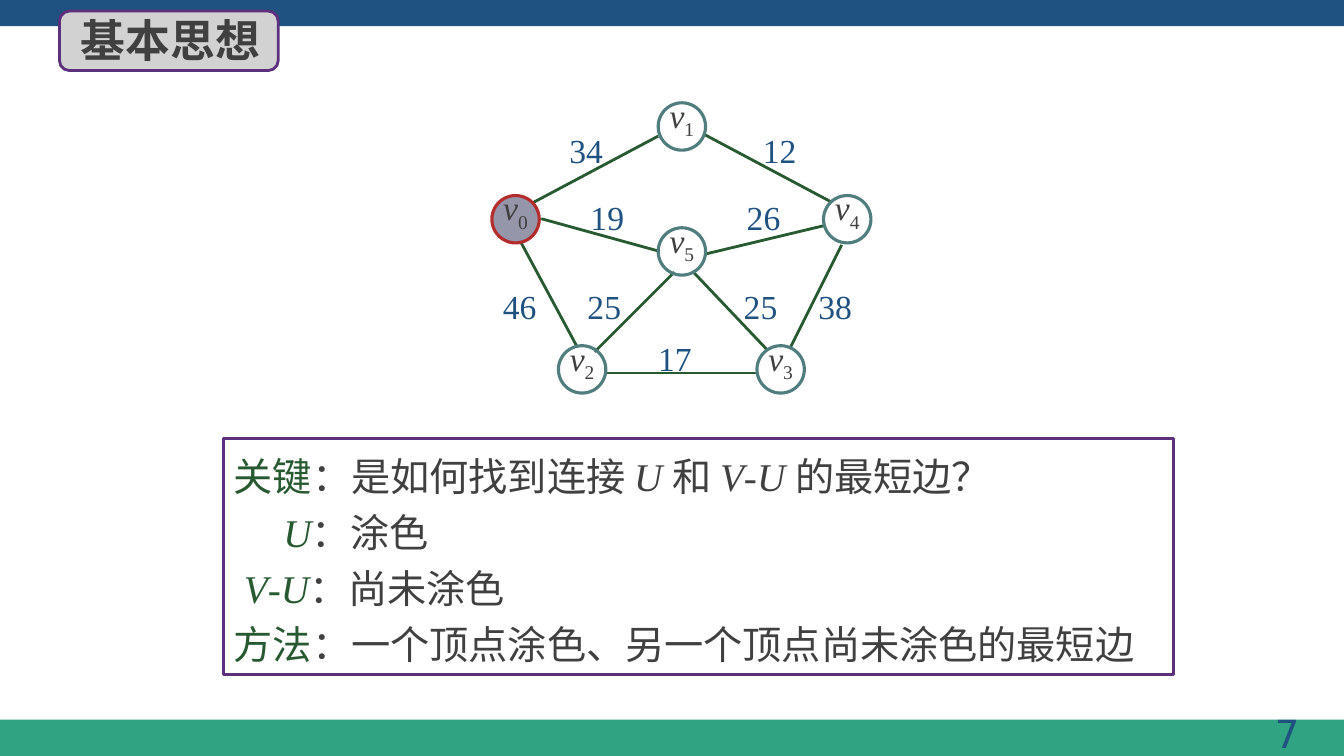
from lxml import etree
from pptx import Presentation, util as u
from pptx.dml.color import RGBColor
from pptx.enum import lang, shapes, text
from pptx.oxml.ns import qn

COLORS = dict(navy="1F5281", teal="30A383", ink="404040", green="285A32", purple="5C307D",
              badge="D2D2D2", ring="507D7D", start="9696AA", start_ring="B42D2D")
SERIF, SANS, HAN = "Times New Roman", "DejaVu Sans", "Noto Sans CJK SC"
COLUMNS, ROWS = 133.33, 75
CELL = u.Inches(0.1)
VERTEX_SIZE = 4.7
LABEL_SIZE = (6.6, 5)

VERTICES = [(0, 9.2), (16.5, 0), (6.6, 24.1), (26.3, 24.1), (32.9, 9.2), (16.5, 12.4)]
EDGES = [
    ("34", (16.5, 3.3), (3.9, 10), (6.7, 1.9)),
    ("12", (33.6, 9.8), (21, 3.1), (25.9, 1.9)),
    ("19", (16.5, 14.7), (4.9, 11.5), (8.8, 8.5)),
    ("26", (32.9, 12.2), (21.2, 15), (24.3, 8.5)),
    ("25", (18.1, 16.8), (10.2, 24.7), (8.5, 17.4)),
    ("25", (27.3, 24.5), (19.9, 16.7), (24, 17.4)),
    ("46", (8.4, 24.1), (2.8, 13.7), (0.1, 17.4)),
    ("38", (34.7, 14.1), (29.6, 24.3), (31.4, 17.4)),
    ("17", (11.3, 26.8), (26.2, 26.8), (15.5, 22.5)),
]
KEY_POINTS = [
    (0, [("关键", "green", False), ("：是如何找到连接 ", "ink", False), ("U ", "ink", True),
         ("和 ", "ink", False), ("V", "ink", True), ("-", "ink", False),
         ("U ", "ink", True), ("的最短边？", "ink", False)]),
    (4.9, [("U", "green", True), ("：涂色", "ink", False)]),
    (1, [("V", "green", True), ("-", "green", False), ("U", "green", True),
         ("：尚未涂色", "ink", False)]),
    (0, [("方法", "green", False), ("：一个顶点涂色、另一个顶点尚未涂色的最短边", "ink", False)]),
]


def cells(*lengths):
    """Convert grid cells to slide lengths."""
    return [round(length * CELL) for length in lengths]


def rgb(color):
    """Look up a palette colour."""
    return RGBColor.from_string(COLORS[color])


def apply(target, **values):
    """Set each attribute from the format values."""
    for name, value in values.items():
        setattr(target, name, value)


def write(paragraph, words, color, size, face=SERIF, **values):
    """Add one formatted run."""
    run = paragraph.add_run()
    run.text = words
    apply(run.font, size=u.Pt(size), name=face,
          language_id=lang.MSO_LANGUAGE_ID.SIMPLIFIED_CHINESE, **values)
    run.font.color.rgb = rgb(color)
    etree.SubElement(run.font._element, qn("a:ea"), typeface=HAN)
    return run


def paint(shape, fill=None, line=None, width=2.25):
    """Give a shape its fill and outline."""
    if fill:
        shape.fill.solid()
        shape.fill.fore_color.rgb = rgb(fill)
    else:
        shape.fill.background()
    if line:
        shape.line.color.rgb = rgb(line)
        shape.line.width = u.Pt(width)
    else:
        shape.line.fill.background()


def add_shape(slide, kind, box, **look):
    """Add a flat preset shape."""
    shape = slide.shapes.add_shape(kind, *cells(*box))
    shape.shadow.inherit = False
    paint(shape, **look)
    return shape


def add_label(slide, box, words, size, face, align, top=0.5):
    """Add a navy one-line text box."""
    frame = slide.shapes.add_textbox(*cells(*box)).text_frame
    apply(frame, word_wrap=True, margin_top=cells(top)[0])
    frame.paragraphs[0].alignment = align
    write(frame.paragraphs[0], words, "navy", size, face)


def place(placeholder, box, anchor):
    """Move a placeholder and return its text frame."""
    apply(placeholder, **dict(zip(("left", "top", "width", "height"), cells(*box))))
    frame = placeholder.text_frame
    apply(frame, word_wrap=True, auto_size=text.MSO_AUTO_SIZE.NONE, vertical_anchor=anchor)
    return frame


def add_bands(slide, top_height, bottom_height):
    """Draw the top and bottom bands with the page number."""
    rectangle = shapes.MSO_SHAPE.RECTANGLE
    add_shape(slide, rectangle, (0, 0, COLUMNS, top_height), fill="navy")
    bottom = ROWS - bottom_height
    add_shape(slide, rectangle, (0, bottom, COLUMNS, bottom_height), fill="teal")
    add_label(slide, (100.5, bottom - 1.5, 29.4, 5.7), "7", 27.6, SANS, text.PP_ALIGN.RIGHT)


def add_heading(slide, box):
    """Set the title on its rounded badge."""
    left, top, width, height = box
    add_shape(slide, shapes.MSO_SHAPE.ROUNDED_RECTANGLE, box, fill="badge", line="purple", width=2)
    title = slide.shapes.title
    frame = place(title, (left + 1.1, top - 0.4, width - 0.8, height + 0.5), text.MSO_ANCHOR.MIDDLE)
    frame.paragraphs[0].alignment = text.PP_ALIGN.LEFT
    write(frame.paragraphs[0], "基本思想", "ink", 32, HAN, bold=True)
    slide.shapes._spTree.append(title._element)


def add_graph(slide, left, top):
    """Draw the weighted graph from its top left corner."""
    for weight, tail, head, label in EDGES:
        ends = [(left + x, top + y) for x, y in (tail, head)]
        edge = slide.shapes.add_connector(shapes.MSO_CONNECTOR.STRAIGHT, *cells(*ends[0], *ends[1]))
        edge.line.color.rgb = rgb("green")
        edge.line.width = u.Pt(2)
        etree.SubElement(edge._element.spPr, qn("a:effectLst"))
        add_label(slide, (left + label[0], top + label[1], *LABEL_SIZE), weight, 24, SERIF,
                  text.PP_ALIGN.LEFT, top=0.8)
    for index, (x, y) in enumerate(VERTICES):
        look = dict(line="ring") if index else dict(fill="start", line="start_ring")
        box = (left + x, top + y, VERTEX_SIZE, VERTEX_SIZE)
        frame = add_shape(slide, shapes.MSO_SHAPE.OVAL, box, **look).text_frame
        apply(frame, margin_left=0, margin_right=0, margin_top=0, margin_bottom=0,
              word_wrap=True, vertical_anchor=text.MSO_ANCHOR.TOP)
        name = frame.paragraphs[0]
        apply(name, alignment=text.PP_ALIGN.CENTER, line_spacing=u.Pt(22))
        write(name, "v", "ink", 24, italic=True)
        subscript = write(name, str(index), "ink", 24)
        subscript.font._element.set("baseline", "-25000")


def add_key_points(slide, box):
    """Write the key question and method in the outlined body."""
    body = slide.placeholders[1]
    frame = place(body, box, text.MSO_ANCHOR.TOP)
    paint(body, line="purple")
    for index, (indent, runs) in enumerate(KEY_POINTS):
        point = frame.add_paragraph() if index else frame.paragraphs[0]
        properties = point._p.get_or_add_pPr()
        properties.set("marL", str(cells(indent)[0]))
        properties.set("indent", "0")
        etree.SubElement(properties, qn("a:buNone"))
        apply(point, line_spacing=u.Pt(40), space_before=u.Pt(0), alignment=text.PP_ALIGN.LEFT)
        for words, color, italic in runs:
            write(point, words, color, 28, italic=italic)


def main():
    """Build and save the slide."""
    deck = Presentation()
    deck.slide_width, deck.slide_height = cells(COLUMNS, ROWS)
    slide = deck.slides.add_slide(deck.slide_layouts[1])
    add_bands(slide, 2.6, 3.6)
    add_heading(slide, (5.9, 1.1, 21.7, 5.9))
    add_graph(slide, 48.8, 10.2)
    add_key_points(slide, (22.2, 43.5, 94.2, 23.4))
    deck.save("out.pptx")


if __name__ == "__main__":
    main()
